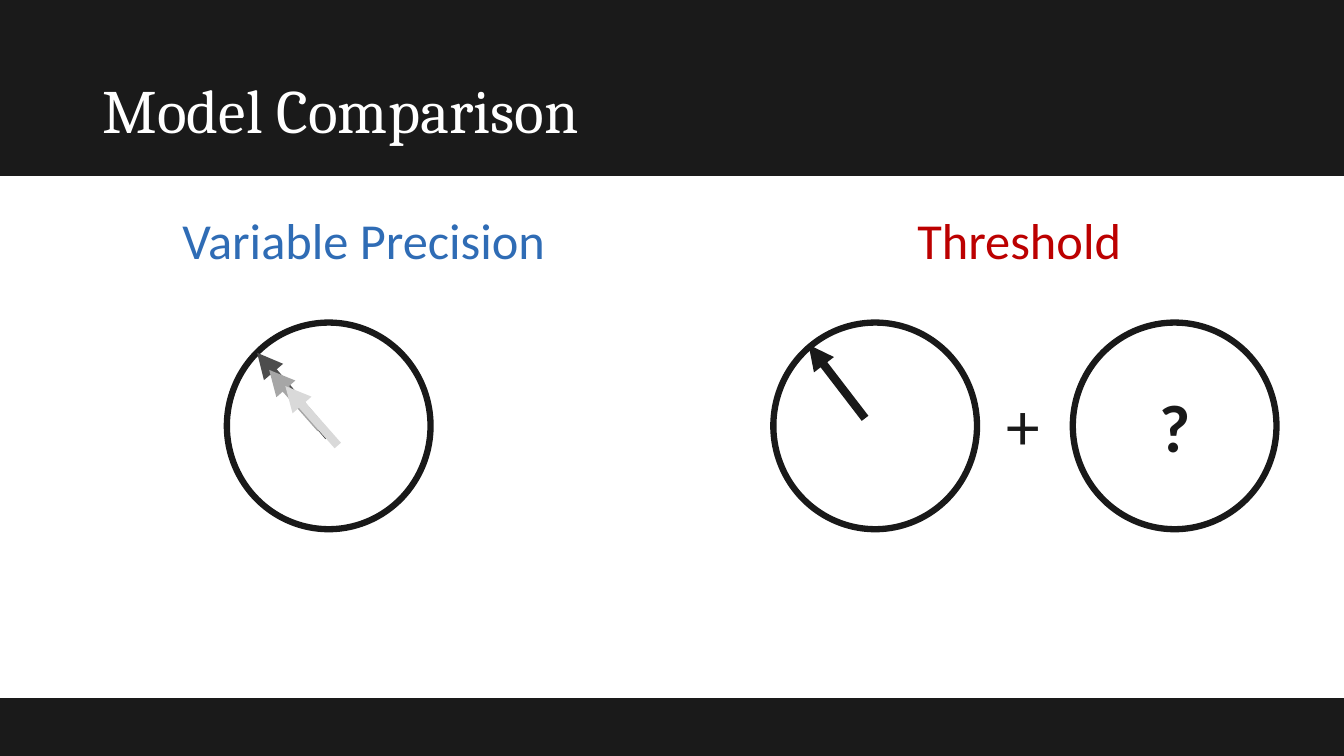
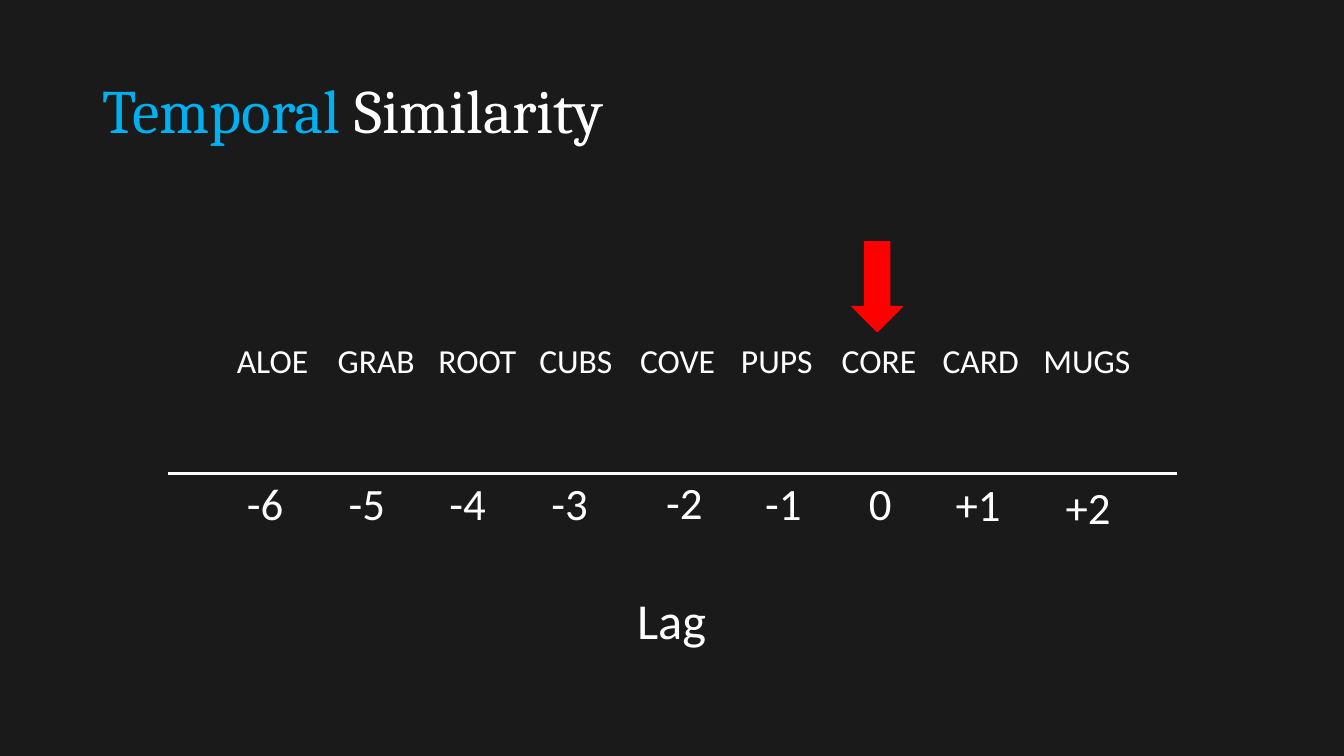
import dataclasses
import typing

import lxml.etree
import pptx
import pptx.dml.color
import pptx.enum.shapes
import pptx.enum.text
import pptx.oxml.ns
import pptx.util

SCALE = 9144
WIDE, HIGH = 1333, 750
DARK, INK, WHITE = "1A1A1A", "191919", "FFFFFF"
BLUE, MAROON, CYAN, RED = "2F6CB5", "BC0000", "00B0F0", "FF0000"
BODY, HEAD = "Calibri", "Cambria"
FORM = pptx.enum.shapes.MSO_SHAPE
ANCHOR = pptx.enum.text.MSO_ANCHOR


@dataclasses.dataclass(frozen=True)
class Box:
    left: int
    top: int
    width: int
    height: int


@dataclasses.dataclass(frozen=True)
class Label:
    text: str
    box: Box
    size: int
    color: str = WHITE


@dataclasses.dataclass(frozen=True)
class Line:
    start: tuple[int, int]
    end: tuple[int, int]
    color: str
    weight: float
    arrow: bool = True


@dataclasses.dataclass(frozen=True)
class Lag:
    word: str
    value: str
    left: int
    width: int = 57
    top: int = 467


TITLE = Box(92, 40, 1150, 145)
BAND = Box(0, 175, WIDE, 517)
RINGS = [Box(left, 320, 202, 205) for left in (225, 767, 1064)]
MODELS = [
    Label("Variable Precision", Box(171, 203, 383, 71), 36, BLUE),
    Label("Threshold", Box(900, 203, 224, 71), 36, MAROON),
    Label("+", Box(988, 375, 54, 91), 48, INK),
]
HANDS = [
    Line((858, 415), (802, 342), INK, 6),
    Line((326, 433), (255, 350), "4D4D4D", 6),
    Line((318, 425), (267, 367), "A6A6A6", 6),
    Line((335, 442), (283, 383), "D9D9D9", 6),
]
LAGS = [
    Lag("ALOE", "-6", 235),
    Lag("GRAB", "-5", 336),
    Lag("ROOT", "-4", 436),
    Lag("CUBS", "-3", 537),
    Lag("COVE", "-2", 651, top=466),
    Lag("PUPS", "-1", 749),
    Lag("CORE", "0", 852, 43),
    Lag("CARD", "+1", 938, 65, 468),
    Lag("MUGS", "+2", 1047, 65, 471),
]


def px(*values: int) -> list[pptx.util.Emu]:
    return [pptx.util.Emu(value * SCALE) for value in values]


def place(box: Box) -> list[pptx.util.Emu]:
    return px(box.left, box.top, box.width, box.height)


def paint(color: str) -> pptx.dml.color.RGBColor:
    return pptx.dml.color.RGBColor.from_string(color)


def style(run: typing.Any, size: int, color: str, font: str = BODY) -> None:
    run.font.size = pptx.util.Pt(size)
    run.font.name = font
    run.font.color.rgb = paint(color)


def start(deck: typing.Any) -> typing.Any:
    slide = deck.slides.add_slide(deck.slide_layouts[6])
    slide.background.fill.solid()
    slide.background.fill.fore_color.rgb = paint(DARK)
    return slide


def title(slide: typing.Any, *parts: tuple[str, str]) -> None:
    frame = slide.shapes.add_textbox(*place(TITLE)).text_frame
    frame.word_wrap = True
    frame.vertical_anchor = ANCHOR.MIDDLE
    para = frame.paragraphs[0]
    para.line_spacing = 0.9
    for text, color in parts:
        run = para.add_run()
        run.text = text
        style(run, 44, color, HEAD)


def write(slide: typing.Any, label: Label) -> None:
    frame = slide.shapes.add_textbox(*place(label.box)).text_frame
    frame.word_wrap = False
    frame.auto_size = pptx.enum.text.MSO_AUTO_SIZE.SHAPE_TO_FIT_TEXT
    frame.text = label.text
    style(frame.paragraphs[0].runs[0], label.size, label.color)


def shape(slide: typing.Any, form: FORM, box: Box, fill: str,
          edge: str, weight: float = 1) -> typing.Any:
    item = slide.shapes.add_shape(form, *place(box))
    item.shadow.inherit = False
    item.fill.solid()
    item.fill.fore_color.rgb = paint(fill)
    item.line.color.rgb = paint(edge)
    item.line.width = pptx.util.Pt(weight)
    return item


def draw(slide: typing.Any, line: Line) -> None:
    kind = pptx.enum.shapes.MSO_CONNECTOR.STRAIGHT
    item = slide.shapes.add_connector(kind, *px(*line.start, *line.end))
    item.line.color.rgb = paint(line.color)
    item.line.width = pptx.util.Pt(line.weight)
    qn = pptx.oxml.ns.qn
    props = item._element.spPr
    if line.arrow:
        lxml.etree.SubElement(props.find(qn("a:ln")), qn("a:tailEnd"), type="triangle")
    lxml.etree.SubElement(props, qn("a:effectLst"))


def models(deck: typing.Any) -> None:
    slide = start(deck)
    shape(slide, FORM.RECTANGLE, BAND, WHITE, WHITE)
    title(slide, ("Model Comparison", WHITE))
    rings = [shape(slide, FORM.OVAL, box, WHITE, INK, 4.5) for box in RINGS]
    frame = rings[-1].text_frame
    frame.text = "?"
    frame.vertical_anchor = ANCHOR.MIDDLE
    para = frame.paragraphs[0]
    para.alignment = pptx.enum.text.PP_ALIGN.CENTER
    style(para.runs[0], 48, INK)
    para.runs[0].font.bold = True
    for label in MODELS:
        write(slide, label)
    for hand in HANDS:
        draw(slide, hand)


def lags(deck: typing.Any) -> None:
    slide = start(deck)
    title(slide, ("Temporal ", CYAN), ("Similarity", WHITE))
    draw(slide, Line((167, 470), (1167, 470), WHITE, 2.25, False))
    write(slide, Label("Lag", Box(622, 579, 89, 71), 36))
    for lag in LAGS:
        write(slide, Label(lag.value, Box(lag.left, lag.top, lag.width, 64), 32))
    words = "\t".join(lag.word for lag in LAGS)
    write(slide, Label(words, Box(225, 332, 915, 50), 24))
    shape(slide, FORM.DOWN_ARROW, Box(845, 240, 50, 89), RED, RED)


def main() -> None:
    deck = pptx.Presentation()
    deck.slide_width, deck.slide_height = px(WIDE, HIGH)
    models(deck)
    lags(deck)
    deck.save("out.pptx")


if __name__ == "__main__":
    main()
